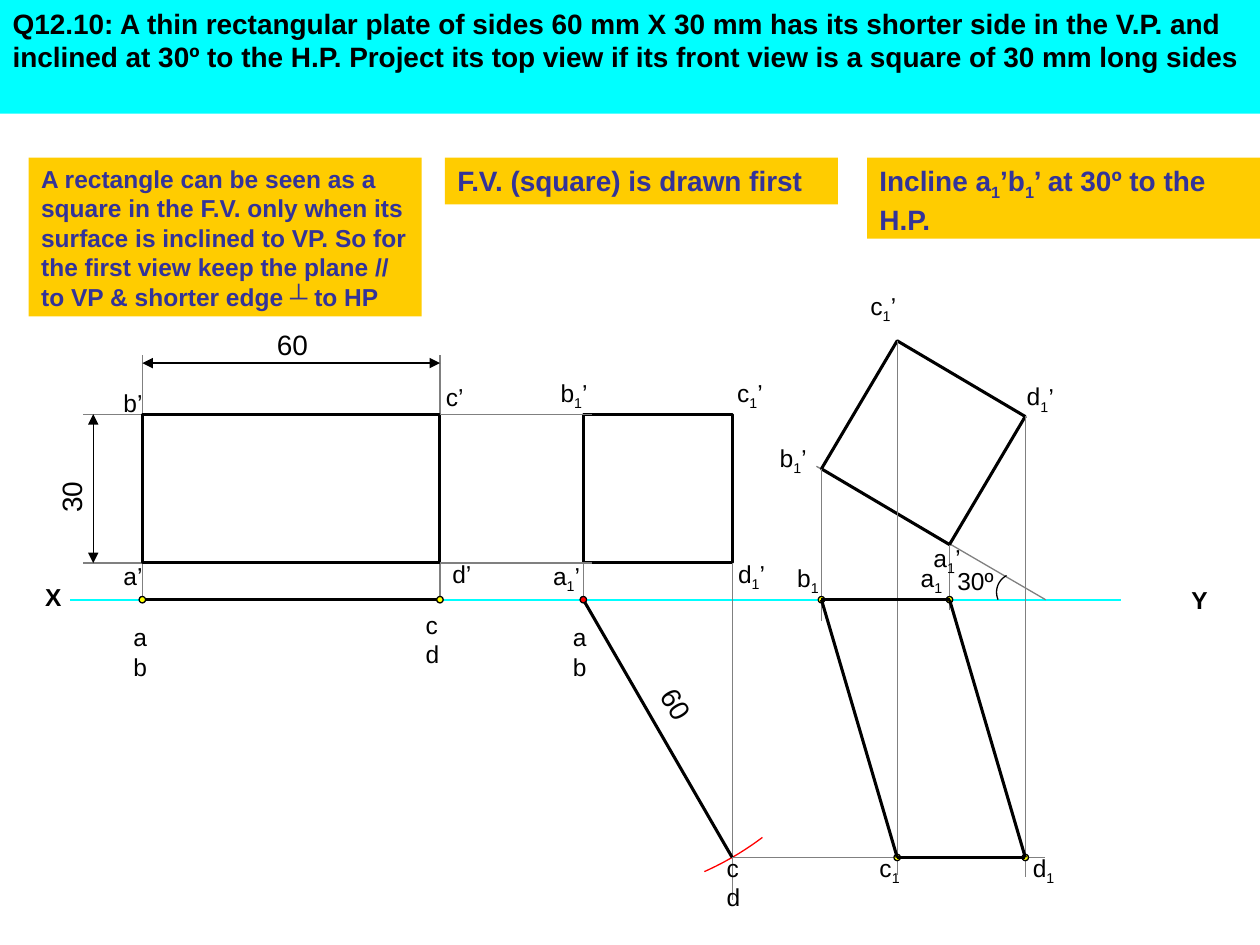
import math

from lxml import etree
from pptx import Presentation
from pptx.dml.color import RGBColor
from pptx.enum.shapes import MSO_CONNECTOR, MSO_SHAPE
from pptx.enum.text import MSO_ANCHOR, MSO_AUTO_SIZE, PP_ALIGN
from pptx.oxml.ns import qn
from pptx.util import Cm, Pt

STRAIGHT = MSO_CONNECTOR.STRAIGHT
RECTANGLE, OVAL = MSO_SHAPE.RECTANGLE, MSO_SHAPE.OVAL
TOP, LEFT, NO_FIT = MSO_ANCHOR.TOP, PP_ALIGN.LEFT, MSO_AUTO_SIZE.NONE

COLORS = {"black": "000000", "cyan": "00FFFF", "amber": "FFCC00", "navy": "333399",
          "gray": "808080", "yellow": "FFFF00", "red": "FF0000"}
THIN, THICK = 0.75, 1.75
GROUND = 12.09            # XY line, cm from the top of the slide
SHORT, LONG = 3, 6        # plate sides, drawn full size in cm
BASE = -0.74              # lower edge of the upright front views
CREST = BASE - SHORT
DEPTH = math.sqrt(LONG ** 2 - SHORT ** 2)
TILT = 30.6               # degrees, inclination of the tilted square
PRIME, SUBSCRIPT, STACK, NUMBER = (1.07, 0.84), (1.45, 0.84), (0.94, 1.45), (1.4, 0.94)


def color(name):
    return RGBColor.from_string(COLORS[name])


def write(frame, text, size, ink="black", bold=False):
    """Fill a text frame; every second piece between bars is a subscript."""
    frame.word_wrap = True
    frame.auto_size = NO_FIT
    frame.vertical_anchor = TOP
    paragraph = frame.paragraphs[0]
    paragraph.alignment = LEFT
    for index, piece in enumerate(text.split("|")):
        if not piece:
            continue
        run = paragraph.add_run()
        run.text = piece
        run.font.name = "Arial"
        run.font.size = Pt(size)
        run.font.bold = bold
        run.font.color.rgb = color(ink)
        if index % 2:
            run.font._element.set("baseline", "-25000")


def style(shape, fill=None, line=None, width=THIN):
    shape.shadow.inherit = False
    if fill:
        shape.fill.solid()
        shape.fill.fore_color.rgb = color(fill)
    else:
        shape.fill.background()
    if line:
        shape.line.color.rgb = color(line)
        shape.line.width = Pt(width)
    else:
        shape.line.fill.background()


class View:
    """Drawing area whose origin lies on the XY line; lengths in cm, y downwards."""

    def __init__(self, slide, left, ground):
        self.shapes, self.left, self.ground = slide.shapes, left, ground

    def place(self, x, y):
        return Cm(self.left + x), Cm(self.ground + y)

    def line(self, start, end, ink="gray", width=THIN, arrows=False):
        connector = self.shapes.add_connector(STRAIGHT, *self.place(*start), *self.place(*end))
        connector.line.color.rgb = color(ink)
        connector.line.width = Pt(width)
        if arrows:
            outline = connector.line._get_or_add_ln()
            for tag in ("a:headEnd", "a:tailEnd"):
                etree.SubElement(outline, qn(tag), type="triangle")
        etree.SubElement(connector._element.spPr, qn("a:effectLst"))

    def edge(self, start, end):
        self.line(start, end, "black", THICK)

    def box(self, x, y, width, height, rotation=0):
        shape = self.shapes.add_shape(RECTANGLE, *self.place(x, y), Cm(width), Cm(height))
        style(shape, line="black", width=THICK)
        shape.rotation = rotation

    def dot(self, x, y, fill="yellow", size=0.13):
        corner = self.place(x - size / 2, y - size / 2)
        style(self.shapes.add_shape(OVAL, *corner, Cm(size), Cm(size)), fill, "black")

    def arc(self, center, radius, first, last, ink, steps=16):
        points = []
        for step in range(steps + 1):
            angle = math.radians(first + (last - first) * step / steps)
            points.append(self.place(center[0] + radius * math.cos(angle),
                                     center[1] + radius * math.sin(angle)))
        builder = self.shapes.build_freeform(*points[0])
        builder.add_line_segments(points[1:], close=False)
        style(builder.convert_to_shape(), line=ink)

    def label(self, text, x, y, extent, size=14, rotation=0, bold=False):
        box = self.shapes.add_textbox(*self.place(x, y), *map(Cm, extent))
        box.rotation = rotation
        write(box.text_frame, text, size, bold=bold)

    def labels(self, entries, extent, rotation=0):
        for text, x, y in entries:
            self.label(text, x, y, extent, rotation=rotation)


def add_question(slide, left, top, width, height):
    title = slide.shapes.title
    title.left, title.top, title.width, title.height = map(Cm, (left, top, width, height))
    title.fill.solid()
    title.fill.fore_color.rgb = color("cyan")
    write(title.text_frame, "Q12.10: A thin rectangular plate of sides 60 mm X 30 mm has its "
          "shorter side in the V.P. and inclined at 30º to the H.P. Project its top view if "
          "its front view is a square of 30 mm long sides", 16, bold=True)


def add_note(slide, text, left, top, width, height, size=16):
    shape = slide.shapes.add_shape(RECTANGLE, *map(Cm, (left, top, width, height)))
    style(shape, "amber")
    write(shape.text_frame, text, size, "navy", True)


def add_reference_line(slide, left, ground, length):
    view = View(slide, left, ground)
    view.line((0, 0), (length, 0), "cyan", 1)
    view.label("X", -0.76, -0.48, (1.17, 0.84), bold=True)
    view.label("Y", length + 1.17, -0.43, (0.76, 0.84), bold=True)


def draw_plate(slide, left, ground):
    """True shape of the plate with its dimensions."""
    view = View(slide, left, ground)
    for y in (CREST, BASE):
        view.line((0, y), (-1.2, y))
    for x in (0, LONG):
        view.line((x, CREST), (x, CREST - 1.2))
        view.line((x, BASE), (x, 0))
    view.line((-0.99, CREST), (-0.99, BASE), "black", arrows=True)
    view.line((0, -4.77), (LONG, -4.77), "black", arrows=True)
    view.box(0, CREST, LONG, SHORT)
    view.edge((0, 0), (LONG, 0))
    for x in (0, LONG):
        view.dot(x, 0)
    view.label("30", -2.13, -2.67, NUMBER, 16, 270)
    view.label("60", 2.46, -5.61, NUMBER, 16)
    view.labels([("a’", -0.63, -0.91), ("b’", -0.63, -4.39),
                 ("c’", 5.87, -4.52), ("d’", 6, -0.94)], PRIME)
    view.labels([("a b", -0.43, 0.33), ("c d", 5.46, 0.08)], STACK)


def draw_square(slide, left, ground):
    """Square front view and the edge view of the plate below it."""
    view = View(slide, left, ground)
    view.box(0, CREST, SHORT, SHORT)
    for y in (CREST, BASE):
        view.line((-2.9, y), (0.18, y))
    view.line((0, BASE), (0, 0))
    view.line((SHORT, BASE), (SHORT, 6.05))
    view.arc((0, 0), LONG, 53, 66, "red")
    view.edge((0, 0), (SHORT, DEPTH))
    view.dot(0, 0, "red")
    view.label("60", 1.24, 1.75, NUMBER, 16, 59.1)
    view.labels([("a|1|’", -0.86, -0.91), ("b|1|’", -0.71, -4.6),
                 ("c|1|’", 2.85, -4.6), ("d|1|’", 2.87, -0.94)], SUBSCRIPT)
    view.labels([("a b", -0.46, 0.33), ("c d", 2.64, 4.98)], STACK)


def draw_tilted(slide, left, ground):
    """Inclined front view and the final top view projected from it."""
    view = View(slide, left, ground)
    run, rise = SHORT * math.cos(math.radians(TILT)), SHORT * math.sin(math.radians(TILT))
    b_height = -2.64
    front = {"b": (0, b_height), "a": (run, b_height + rise),
             "c": (rise, b_height - run), "d": (run + rise, b_height + rise - run)}
    plan = {"b": (0, 0), "a": (run, 0), "d": (run + rise, DEPTH), "c": (rise, DEPTH)}
    overshoot = {"b": 0.43, "a": 0.2, "c": 0.35, "d": 0.4}

    view.line((4.52, 0), (-0.1, -2.69))
    view.arc((3.91, -0.15), 0.38, 157, 242, "black")
    view.box((run + rise - SHORT) / 2, b_height + (rise - run - SHORT) / 2,
             SHORT, SHORT, 270 + TILT)
    for corner, extra in overshoot.items():
        x, y = plan[corner]
        view.line(front[corner], (x, y + extra))
    view.line((-1.8, DEPTH), (4.5, DEPTH))
    for point in plan.values():
        view.dot(*point)
    corners = list(plan.values())
    for start, end in zip(corners, corners[1:] + corners[:1]):
        view.edge(start, end)
    view.labels([("a|1|’", 2.01, -1.27), ("b|1|’", -1.09, -3.28),
                 ("c|1|’", 0.74, -6.35), ("d|1|’", 3.89, -4.52)], SUBSCRIPT, 0.6)
    view.labels([("a|1", 1.75, -0.86), ("b|1", -0.74, -0.86),
                 ("c|1", 0.92, 4.98), ("d|1", 4.01, 4.98)], SUBSCRIPT)
    view.label("30º", 2.49, -0.81, (1.4, 0.84))


def main():
    presentation = Presentation()
    presentation.slide_width, presentation.slide_height = Cm(25.4), Cm(19.05)
    slide = presentation.slides.add_slide(presentation.slide_layouts[5])
    add_question(slide, 0, 0, 25.4, 2.29)
    add_reference_line(slide, 1.42, GROUND, 21.18)
    add_note(slide, "A rectangle can be seen as a square in the F.V. only when its surface is "
             "inclined to VP. So for the first view keep the plane // to VP & shorter edge ┴ "
             "to HP", 0.58, 3.18, 7.92, 3.2, 14)
    add_note(slide, "F.V. (square) is drawn first", 8.97, 3.18, 7.92, 0.94)
    add_note(slide, "Incline a|1|’b|1|’ at 30º to the H.P.", 17.48, 3.18, 7.92, 1.63)
    draw_plate(slide, 2.87, GROUND)
    draw_square(slide, 11.76, GROUND)
    draw_tilted(slide, 16.56, GROUND)
    presentation.save("out.pptx")


if __name__ == "__main__":
    main()
